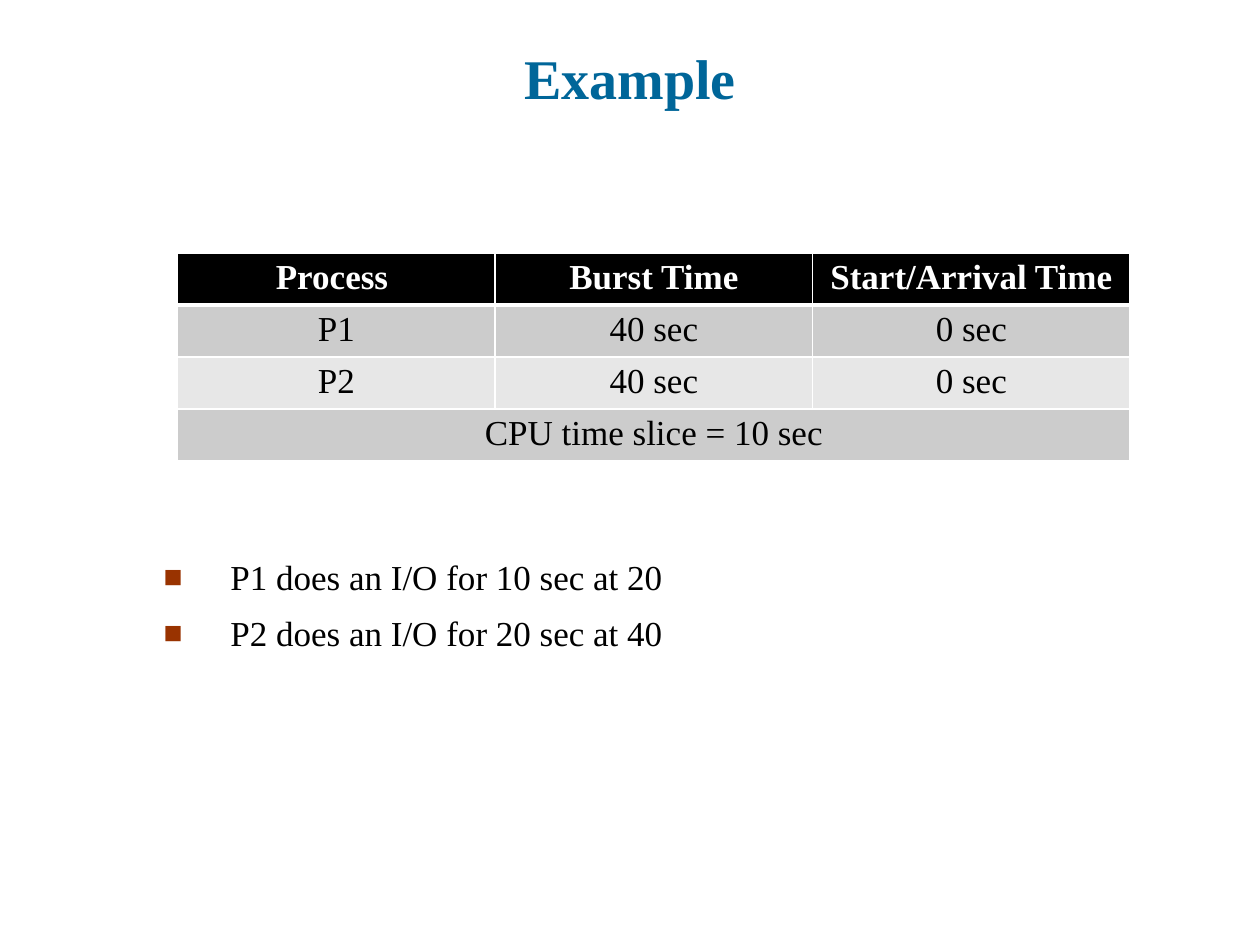
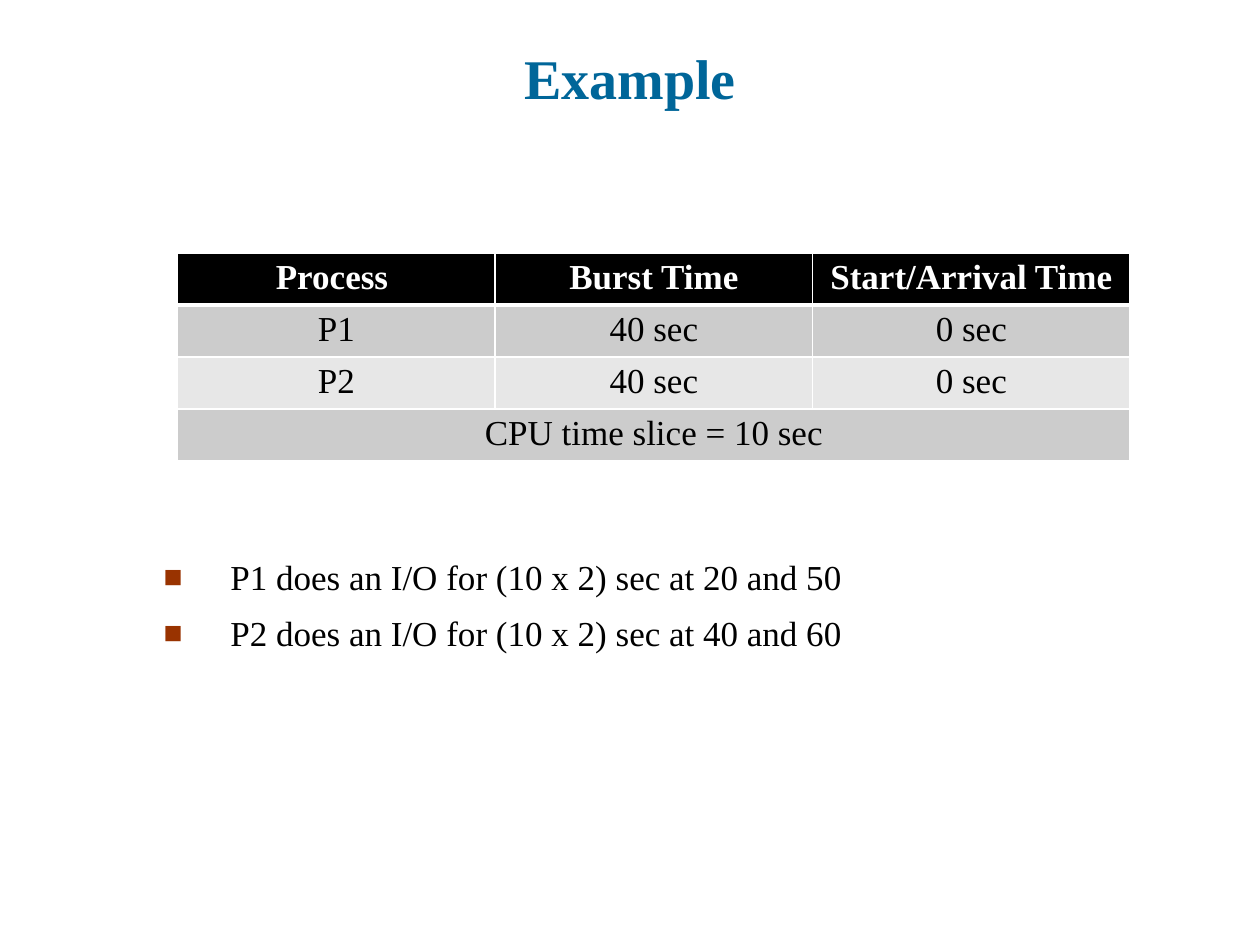
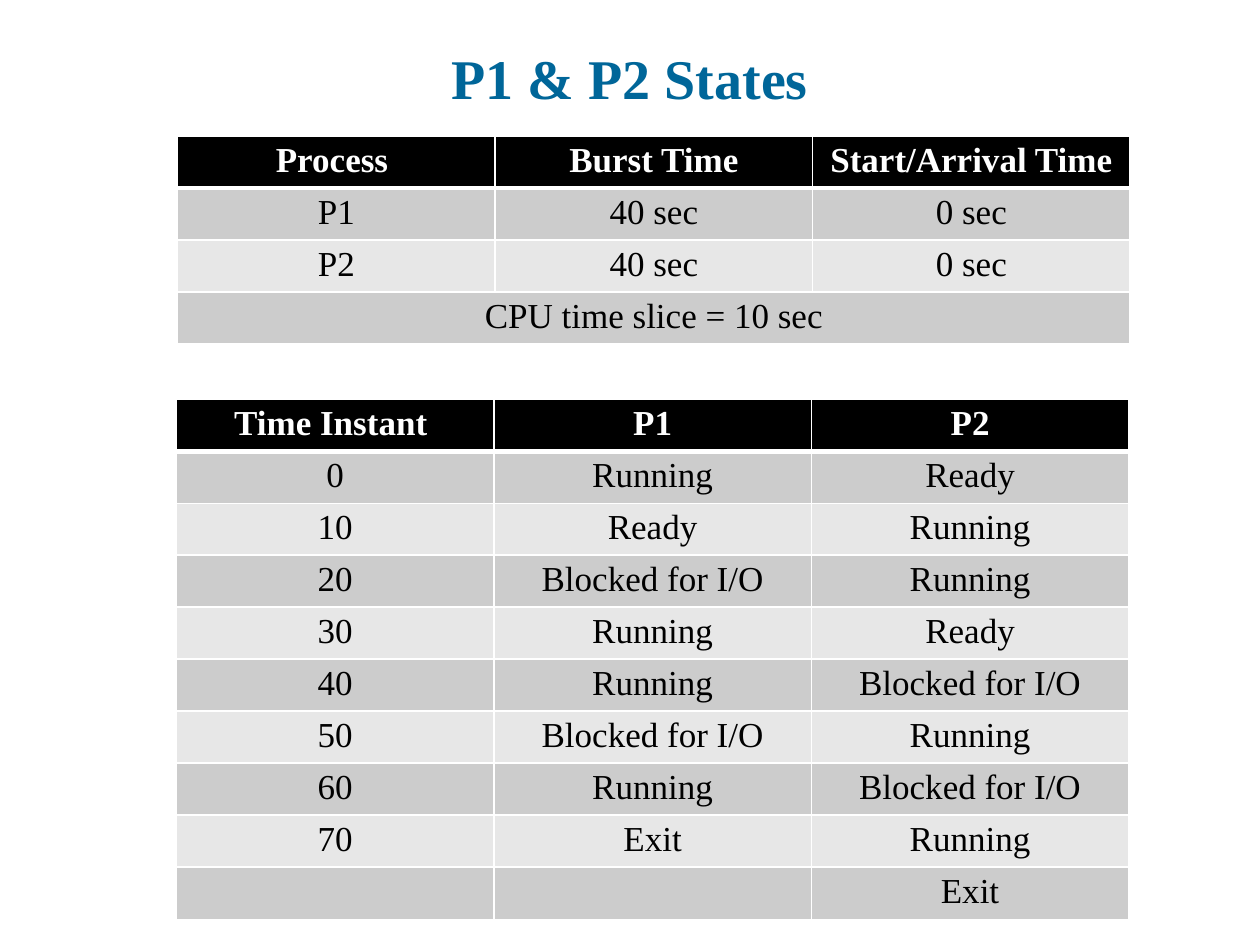
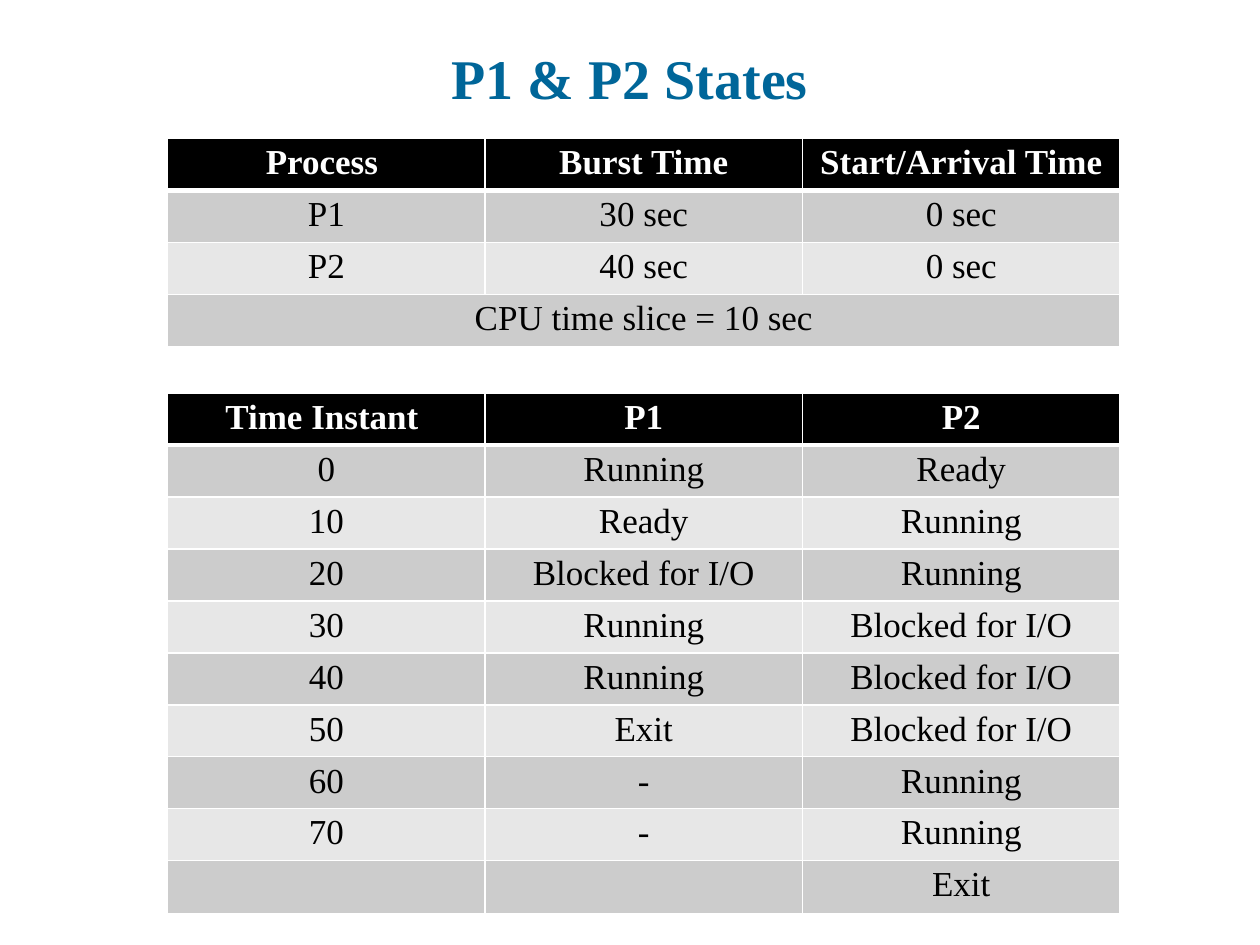
from dataclasses import dataclass

from lxml.etree import SubElement
from pptx import Presentation
from pptx.dml.color import RGBColor
from pptx.enum.text import MSO_ANCHOR as Anchor, PP_ALIGN as Align
from pptx.oxml.ns import qn
from pptx.util import Inches, Pt


@dataclass(frozen=True)
class Theme:
    font: str = "Times New Roman"
    title_size: int = 32
    body_size: int = 20
    title: str = "006699"
    text: str = "000000"
    bullet: str = "993300"
    header: str = "000000"
    header_text: str = "FFFFFF"
    bands: tuple = ("CCCCCC", "E7E7E7")
    border: str = "FFFFFF"
    thin: int = 1
    thick: int = 3


THEME = Theme()
COLUMN_WIDTH = 2.52
ROW_HEIGHT = 1.65 / 4


def process_rows(first_burst):
    return [
        ("Process ", "Burst Time", "Start/Arrival Time"),
        ("P1", first_burst, "0 sec"),
        ("P2", "40 sec", "0 sec"),
        ("CPU time slice = 10 sec",),
    ]


def state_rows(first_states, second_states):
    times = [str(10 * step) for step in range(8)] + [""]
    return [("Time Instant ", "P1", "P2"), *zip(times, first_states, second_states)]


RUN, READY, BLOCKED, EXIT = "Running", "Ready", "Blocked for I/O", "Exit"

SLIDES = [
    {
        "title": "Example",
        "tables": [(1.41, 2.01, process_rows("40 sec"))],
        "bullets": ["P1 does an I/O for 10 sec at 20", "P2 does an I/O for 20 sec at 40"],
    },
    {
        "title": "Example",
        "tables": [(1.41, 2.01, process_rows("40 sec"))],
        "bullets": [
            "P1 does an I/O for (10 x 2) sec at 20 and 50",
            "P2 does an I/O for (10 x 2) sec at 40 and 60",
        ],
    },
    {
        "title": "P1 & P2 States",
        "tables": [
            (1.4, 3.17, state_rows(
                [RUN, READY, BLOCKED, RUN, RUN, BLOCKED, RUN, EXIT, ""],
                [READY, RUN, RUN, READY, BLOCKED, RUN, BLOCKED, RUN, EXIT],
            )),
            (1.41, 1.08, process_rows("40 sec")),
        ],
    },
    {
        "title": "P1 & P2 States",
        "tables": [
            (1.33, 3.12, state_rows(
                [RUN, READY, BLOCKED, RUN, RUN, EXIT, "-", "-", ""],
                [READY, RUN, RUN, BLOCKED, BLOCKED, BLOCKED, RUN, RUN, EXIT],
            )),
            (1.33, 1.1, process_rows("30 sec")),
        ],
    },
]


def write(para, text, size=THEME.body_size, color=THEME.text, bold=False, align=Align.CENTER):
    para.alignment = align
    para.font.size = Pt(size)
    if text:
        span = para.add_run()
        span.text = text
        span.font.name = THEME.font
        span.font.size = Pt(size)
        span.font.bold = bold
        span.font.color.rgb = RGBColor.from_string(color)


def add_title(page, text):
    box = page.shapes.title
    box.left, box.top, box.width, box.height = map(Inches, (0.5, 0.3, 9, 0.63))
    box.text_frame.vertical_anchor = Anchor.BOTTOM
    write(box.text_frame.paragraphs[0], text, size=THEME.title_size, color=THEME.title, bold=True)


def set_borders(cell, top, bottom):
    properties = cell._tc.get_or_add_tcPr()
    widths = {"lnL": THEME.thin, "lnR": THEME.thin, "lnT": top, "lnB": bottom}
    for side, width in widths.items():
        line = SubElement(properties, qn(f"a:{side}"), w=str(Pt(width)))
        fill = SubElement(line, qn("a:solidFill"))
        SubElement(fill, qn("a:srgbClr"), val=THEME.border)


def format_cell(cell, text, row):
    is_header = row == 0
    set_borders(
        cell,
        top=THEME.thick if row == 1 else THEME.thin,
        bottom=THEME.thick if is_header else THEME.thin,
    )
    cell.margin_left = cell.margin_right = Inches(0.07)
    cell.margin_top = cell.margin_bottom = Inches(0.04)
    cell.fill.solid()
    color = THEME.header if is_header else THEME.bands[(row - 1) % 2]
    cell.fill.fore_color.rgb = RGBColor.from_string(color)
    write(
        cell.text_frame.paragraphs[0],
        text,
        color=THEME.header_text if is_header else THEME.text,
        bold=is_header,
    )


def add_grid(page, left, top, rows):
    columns = len(rows[0])
    grid = page.shapes.add_table(
        len(rows), columns, Inches(left), Inches(top),
        Inches(COLUMN_WIDTH * columns), Inches(ROW_HEIGHT * len(rows)),
    ).table
    for row, texts in enumerate(rows):
        if len(texts) == 1:
            grid.cell(row, 0).merge(grid.cell(row, columns - 1))
        for column in range(columns):
            text = texts[column] if column < len(texts) else ""
            format_cell(grid.cell(row, column), text, row)


def add_bullet(para):
    properties = para._p.get_or_add_pPr()
    properties.set("marL", str(Inches(0.53)))
    properties.set("indent", str(-Inches(0.53)))
    color = SubElement(properties, qn("a:buClr"))
    SubElement(color, qn("a:srgbClr"), val=THEME.bullet)
    SubElement(properties, qn("a:buSzPct"), val="90000")
    SubElement(properties, qn("a:buFont"), typeface=THEME.font)
    SubElement(properties, qn("a:buChar"), char="■")


def add_bullets(page, texts):
    box = page.shapes.add_textbox(*map(Inches, (1.2, 4.36, 8.06, 1.67)))
    frame = box.text_frame
    frame.word_wrap = True
    for index, text in enumerate(texts):
        para = frame.add_paragraph() if index else frame.paragraphs[0]
        add_bullet(para)
        if index:
            para.space_before = Pt(8)
        write(para, text, align=Align.LEFT)


def main():
    deck = Presentation()
    deck.slide_width, deck.slide_height = Inches(10), Inches(7.5)
    title_only = deck.slide_layouts[5]
    for content in SLIDES:
        page = deck.slides.add_slide(title_only)
        add_title(page, content["title"])
        for left, top, rows in content["tables"]:
            add_grid(page, left, top, rows)
        if "bullets" in content:
            add_bullets(page, content["bullets"])
    deck.save("out.pptx")


if __name__ == "__main__":
    main()
